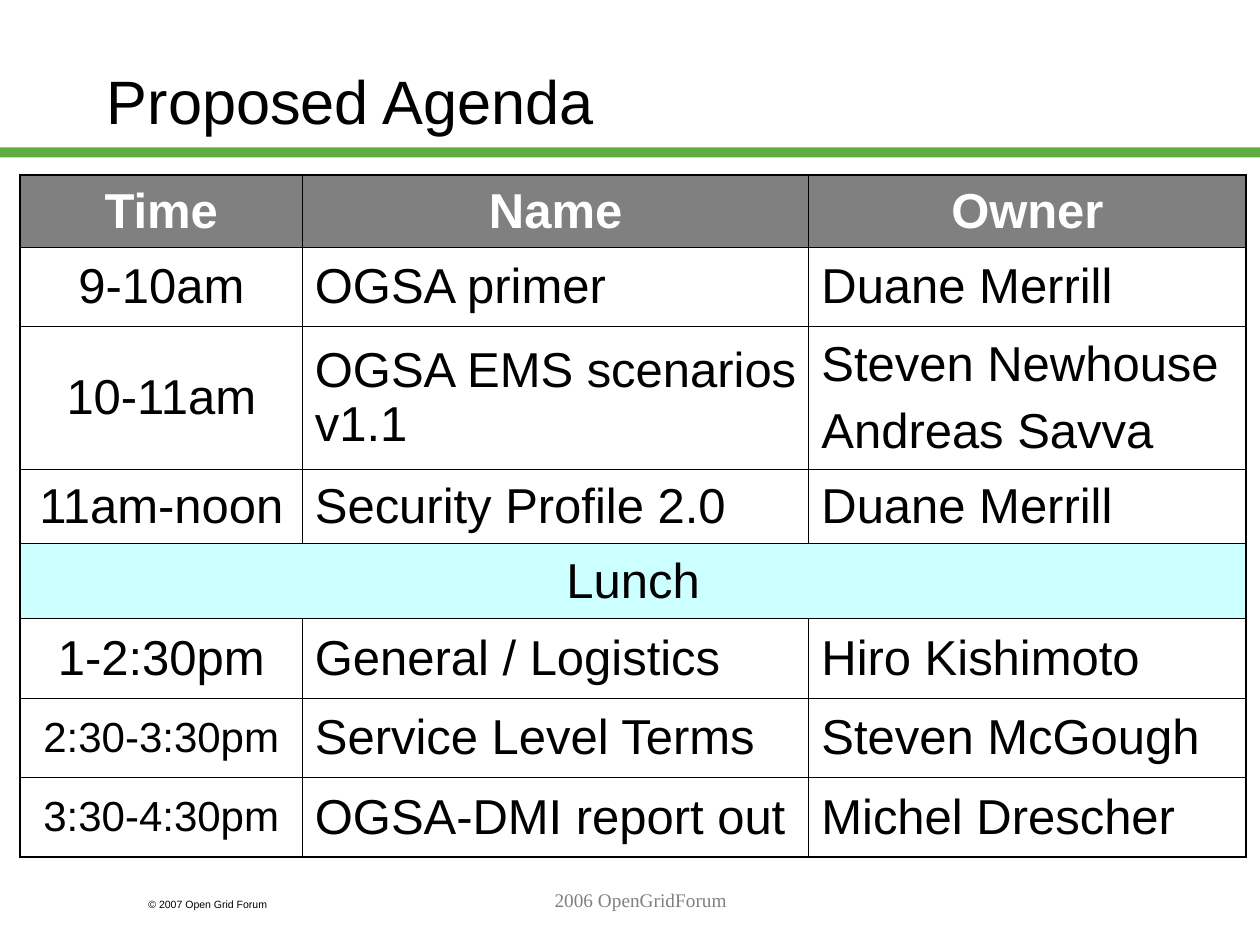
from dataclasses import dataclass

import lxml.etree
import pptx
import pptx.dml.color
import pptx.enum.shapes
import pptx.enum.text
import pptx.oxml.ns
import pptx.util

Inches = pptx.util.Inches
Align = pptx.enum.text.PP_ALIGN
Anchor = pptx.enum.text.MSO_ANCHOR

COLORS = {
    "rule": "5DAD41",
    "header": "808080",
    "lunch": "CCFFFF",
    "text": "000000",
    "header_text": "FFFFFF",
    "footer": "808080",
    "border": "000000",
}
COLUMN_WIDTHS = [2.24, 4.02, 3.47]
OUTER_BORDER = 1.08
INNER_BORDER = 0.45


@dataclass
class AgendaRow:
    height: float
    texts: tuple[str, ...]
    time_size: float = 28
    fill: str | None = None
    header: bool = False


@dataclass
class Label:
    box: tuple[float, float, float, float]
    text: str
    size: float
    font: str = "Arial"
    color: str = "text"
    align: Align = Align.LEFT
    anchor: Anchor = Anchor.TOP


AGENDA = [
    AgendaRow(0.57, ("Time", "Name", "Owner"), fill="header", header=True),
    AgendaRow(0.63, ("9-10am", "OGSA primer", "Duane Merrill")),
    AgendaRow(1.13, ("10-11am", "OGSA EMS scenarios v1.1", "Steven Newhouse\nAndreas Savva")),
    AgendaRow(0.59, ("11am-noon", "Security Profile 2.0", "Duane Merrill")),
    AgendaRow(0.6, ("Lunch",), fill="lunch"),
    AgendaRow(0.63, ("1-2:30pm", "General / Logistics", "Hiro Kishimoto")),
    AgendaRow(0.63, ("2:30-3:30pm", "Service Level Terms", "Steven McGough"), time_size=24),
    AgendaRow(0.63, ("3:30-4:30pm", "OGSA-DMI report out", "Michel Drescher"), time_size=24),
]

LABELS = [
    Label((1.08, 7.08, 1.5, 0.2), "© 2007 Open Grid Forum", 6),
    Label((0.75, 0.17, 8.5, 1.25), "Proposed Agenda", 35, anchor=Anchor.MIDDLE),
    Label((2.17, 7, 5.83, 0.5), "2006 OpenGridForum", 11, "Times New Roman", "footer", Align.CENTER),
]


def rgb(name: str) -> pptx.dml.color.RGBColor:
    return pptx.dml.color.RGBColor.from_string(COLORS[name])


def write_text(text_frame, text: str, *, size: float, font: str = "Arial", color: str = "text",
               bold: bool = False, align: Align = Align.LEFT, space_before: float = 0) -> None:
    text_frame.word_wrap = True
    for index, line in enumerate(text.split("\n")):
        paragraph = text_frame.add_paragraph() if index else text_frame.paragraphs[0]
        paragraph.alignment = align
        if index:
            paragraph.space_before = pptx.util.Pt(space_before)
        run = paragraph.add_run()
        run.text = line
        run.font.name = font
        run.font.size = pptx.util.Pt(size)
        run.font.bold = bold
        run.font.color.rgb = rgb(color)


def set_borders(cell, widths: dict[str, float]) -> None:
    qn = pptx.oxml.ns.qn
    properties = cell._tc.get_or_add_tcPr()
    for position, (side, width) in enumerate(widths.items()):
        line = lxml.etree.Element(qn(f"a:ln{side}"), w=str(int(pptx.util.Pt(width))))
        fill = lxml.etree.SubElement(line, qn("a:solidFill"))
        lxml.etree.SubElement(fill, qn("a:srgbClr"), val=COLORS["border"])
        properties.insert(position, line)


def add_rule(slide) -> None:
    shape = slide.shapes.add_shape(pptx.enum.shapes.MSO_SHAPE.RECTANGLE,
                                   Inches(0), Inches(1.17), Inches(10), Inches(0.08))
    shape.shadow.inherit = False
    shape.fill.solid()
    shape.fill.fore_color.rgb = rgb("rule")
    shape.line.fill.background()


def add_label(slide, label: Label) -> None:
    text_frame = slide.shapes.add_textbox(*map(Inches, label.box)).text_frame
    text_frame.vertical_anchor = label.anchor
    write_text(text_frame, label.text, size=label.size, font=label.font,
               color=label.color, align=label.align)


def fill_cell(table, row_index: int, column_index: int) -> None:
    row = AGENDA[row_index]
    last_column = len(COLUMN_WIDTHS) - 1
    cell = table.cell(row_index, column_index)
    spans_row = len(row.texts) == 1
    if spans_row:
        cell.merge(table.cell(row_index, last_column))
    cell.vertical_anchor = Anchor.MIDDLE
    if row.fill:
        cell.fill.solid()
        cell.fill.fore_color.rgb = rgb(row.fill)
    else:
        cell.fill.background()
    on_edge = {
        "L": column_index == 0,
        "R": spans_row or column_index == last_column,
        "T": row_index == 0,
        "B": row_index == len(AGENDA) - 1,
    }
    set_borders(cell, {side: OUTER_BORDER if edge else INNER_BORDER for side, edge in on_edge.items()})
    centred = row.header or column_index == 0
    write_text(cell.text_frame, row.texts[column_index],
               size=row.time_size if column_index == 0 else 28,
               color="header_text" if row.header else "text", bold=row.header,
               align=Align.CENTER if centred else Align.LEFT, space_before=7)


def add_agenda(slide) -> None:
    table = slide.shapes.add_table(len(AGENDA), len(COLUMN_WIDTHS), Inches(0.16), Inches(1.39),
                                   Inches(sum(COLUMN_WIDTHS)),
                                   Inches(sum(row.height for row in AGENDA))).table
    table.first_row = False
    table.horz_banding = False
    for column, width in zip(table.columns, COLUMN_WIDTHS):
        column.width = Inches(width)
    for row_index, row in enumerate(AGENDA):
        table.rows[row_index].height = Inches(row.height)
        for column_index in range(len(row.texts)):
            fill_cell(table, row_index, column_index)


def main() -> None:
    presentation = pptx.Presentation()
    presentation.slide_width = Inches(10)
    presentation.slide_height = Inches(7.5)
    slide = presentation.slides.add_slide(presentation.slide_layouts[6])
    add_rule(slide)
    for label in LABELS:
        add_label(slide, label)
    add_agenda(slide)
    presentation.save("out.pptx")


if __name__ == "__main__":
    main()
